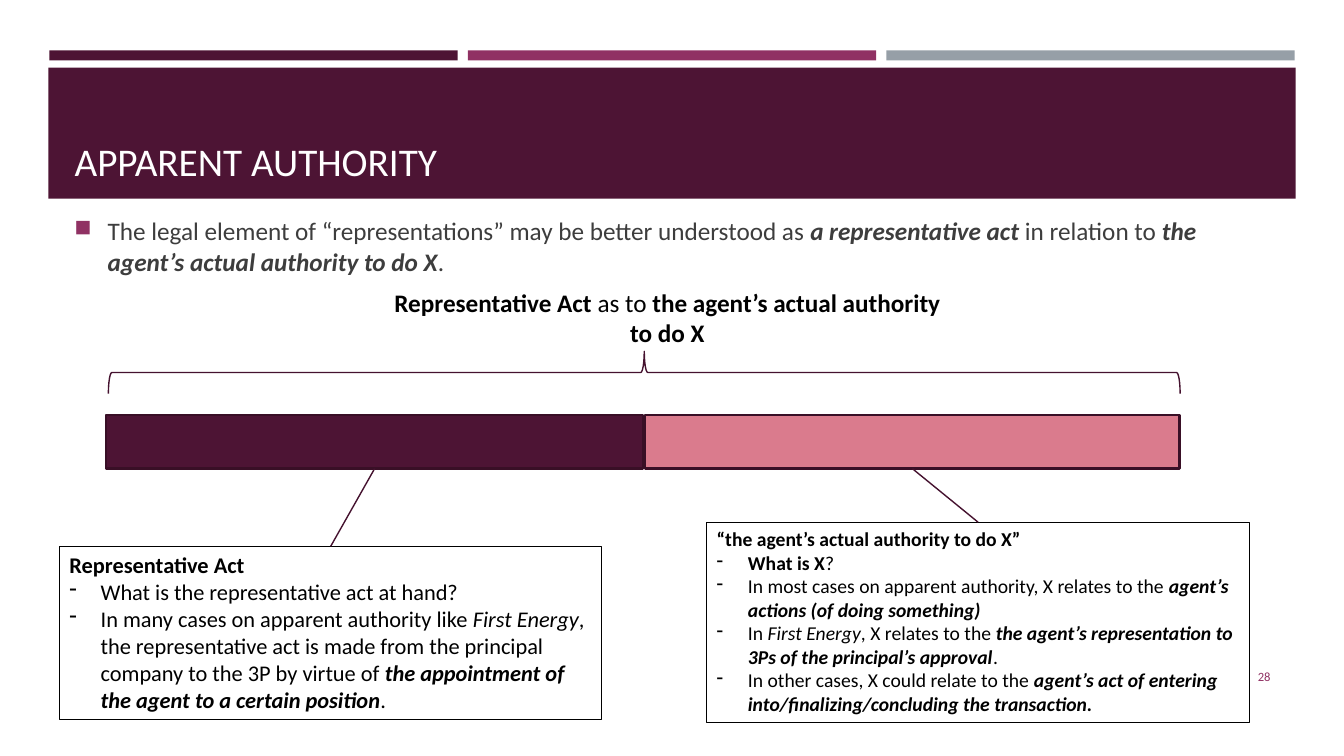
from lxml import etree
from pptx import Presentation
from pptx.dml.color import RGBColor
from pptx.enum.shapes import MSO_CONNECTOR, MSO_SHAPE
from pptx.enum.text import MSO_ANCHOR, MSO_AUTO_SIZE, PP_ALIGN
from pptx.oxml.ns import qn
from pptx.util import Inches, Pt

RECTANGLE, BRACE = MSO_SHAPE.RECTANGLE, MSO_SHAPE.RIGHT_BRACE
STRAIGHT = MSO_CONNECTOR.STRAIGHT
TOP, MIDDLE, BOTTOM = MSO_ANCHOR.TOP, MSO_ANCHOR.MIDDLE, MSO_ANCHOR.BOTTOM
LEFT, CENTER, RIGHT = PP_ALIGN.LEFT, PP_ALIGN.CENTER, PP_ALIGN.RIGHT
GROW, FIXED = MSO_AUTO_SIZE.SHAPE_TO_FIT_TEXT, MSO_AUTO_SIZE.NONE
TOP_SITE, BOTTOM_SITE = 0, 2

PLUM = RGBColor(0x4D, 0x14, 0x34)
MAGENTA = RGBColor(0x90, 0x31, 0x63)
GREY = RGBColor(0x96, 0x9F, 0xA7)
ROSE = RGBColor(0xDA, 0x7B, 0x8D)
BAR_EDGE = RGBColor(0x39, 0x0F, 0x26)
WINE = RGBColor(0x45, 0x12, 0x2F)
BODY_TEXT = RGBColor(0x3D, 0x3D, 0x3D)
BLACK = RGBColor(0, 0, 0)
WHITE = RGBColor(0xFF, 0xFF, 0xFF)


class SlideBuilder:
    font_name = "Calibri"

    def __init__(self, slide):
        self.slide = slide

    def shape(self, kind, at, fill=None, edge=None, weight=1):
        shape = self.slide.shapes.add_shape(kind, *map(Inches, at))
        shape.shadow.inherit = False
        if fill is None:
            shape.fill.background()
        else:
            shape.fill.solid()
            shape.fill.fore_color.rgb = fill
        if edge is None:
            shape.line.fill.background()
        else:
            shape.line.color.rgb = edge
            shape.line.width = Pt(weight)
        return shape

    def frame(self, frame, anchor=TOP, auto_size=FIXED):
        frame.word_wrap = True
        frame.auto_size = auto_size
        frame.vertical_anchor = anchor
        return frame

    def bullet(self, paragraph, char, indent, color=None, percent=None):
        properties = paragraph._p.get_or_add_pPr()
        properties.set("marL", str(Inches(indent)))
        properties.set("indent", str(-Inches(indent)))
        if color is not None:
            bullet_color = etree.SubElement(properties, qn("a:buClr"))
            etree.SubElement(bullet_color, qn("a:srgbClr"), val=str(color))
        if percent is not None:
            etree.SubElement(properties, qn("a:buSzPct"), val=str(percent * 1000))
        etree.SubElement(properties, qn("a:buChar"), char=char)

    def add_runs(self, paragraph, runs, size, color=BLACK, align=LEFT):
        paragraph.alignment = align
        paragraph.font.name = self.font_name
        paragraph.font.size = Pt(size)
        paragraph.font.color.rgb = color
        for words, style in runs:
            run = paragraph.add_run()
            run.text = words
            run.font.bold = "b" in style
            run.font.italic = "i" in style

    def title(self, words, at, size):
        title = self.slide.shapes.title
        title.left, title.top, title.width, title.height = map(Inches, at)
        frame = self.frame(title.text_frame, BOTTOM)
        self.add_runs(frame.paragraphs[0], [(words, "")], size, WHITE)
        title.element.getparent().append(title.element)

    def text(self, runs, at, size, color=BLACK, align=LEFT, anchor=TOP, square=None):
        box = self.slide.shapes.add_textbox(*map(Inches, at))
        paragraph = self.frame(box.text_frame, anchor).paragraphs[0]
        if square is not None:
            paragraph.space_after = Pt(6)
            self.bullet(paragraph, "■", 0.33, square, 92)
        self.add_runs(paragraph, runs, size, color, align)

    def note(self, heading, points, at, size):
        box = self.shape(RECTANGLE, at, edge=BLACK, weight=0.75)
        frame = self.frame(box.text_frame, auto_size=GROW)
        self.add_runs(frame.paragraphs[0], [(heading, "b")], size)
        for runs in points:
            paragraph = frame.add_paragraph()
            self.bullet(paragraph, "-", 0.31)
            self.add_runs(paragraph, runs, size)
        return box

    def link(self, bar, note):
        line = self.slide.shapes.add_connector(STRAIGHT, 0, 0, 0, 0)
        line.begin_connect(bar, BOTTOM_SITE)
        line.end_connect(note, TOP_SITE)
        line.line.color.rgb = WINE
        line.line.width = Pt(1)
        etree.SubElement(line.element.spPr, qn("a:effectLst"))


def main():
    presentation = Presentation()
    presentation.slide_width = Inches(13.33)
    presentation.slide_height = Inches(7.5)
    builder = SlideBuilder(presentation.slides.add_slide(presentation.slide_layouts[5]))

    for column, color in enumerate((PLUM, MAGENTA, GREY)):
        builder.shape(RECTANGLE, (0.49 + 4.15 * column, 0.5, 4.05, 0.1), color)
    builder.shape(RECTANGLE, (0.48, 0.67, 12.37, 1.3), PLUM)
    builder.title("APPARENT AUTHORITY", (0.64, 0.77, 12.06, 1.11), 28)
    builder.text([("28", "")], (11.55, 6.51, 1.15, 0.4), 9, MAGENTA, RIGHT, MIDDLE)

    authority_bar = builder.shape(RECTANGLE, (6.4, 4.12, 5.3, 0.53), ROSE, BAR_EDGE, 1.75)
    act_bar = builder.shape(RECTANGLE, (1.05, 4.12, 5.33, 0.53), PLUM, BAR_EDGE, 1.75)
    brace = builder.shape(BRACE, (6.18, -1.62, 0.42, 10.63), edge=WINE)
    brace.rotation = 270

    act_note = builder.note("Representative Act", [
        [("What is the representative act at hand?", "")],
        [("In many cases on apparent authority like ", ""), ("First Energy", "i"),
         (", the representative act is made from the principal company to the 3P by virtue of ", ""),
         ("the appointment of the agent to a certain position", "bi"), (".", "")],
    ], (0.59, 5.42, 5.38, 1.72), 16)
    authority_note = builder.note("“the agent’s actual authority to do X”", [
        [("What is X", "b"), ("?", "")],
        [("In most cases on apparent authority, X relates to the ", ""),
         ("agent’s actions (of doing something)", "bi")],
        [("In ", ""), ("First Energy", "i"), (", X relates to the ", ""),
         ("the agent’s representation to 3Ps of the principal’s approval", "bi"), (".", "")],
        [("In other cases, X could relate to the ", ""),
         ("agent’s act of entering into/finalizing/concluding the transaction.", "bi")],
    ], (7.01, 5.18, 5.38, 1.99), 14)
    builder.link(act_bar, act_note)
    builder.link(authority_bar, authority_note)

    builder.text([("Representative Act ", "b"), ("as to ", ""),
                  ("the agent’s actual authority to do X", "b")],
                 (3.79, 2.8, 5.66, 0.94), 18, align=CENTER)
    builder.text([("The legal element of “representations” may be better understood as ", ""),
                  ("a representative act ", "bi"), ("in relation to ", ""),
                  ("the agent’s actual authority to do X", "bi"), (".", "")],
                 (0.64, 2.27, 12.06, 0.34), 18, BODY_TEXT, anchor=MIDDLE, square=MAGENTA)

    presentation.save("out.pptx")


if __name__ == "__main__":
    main()
